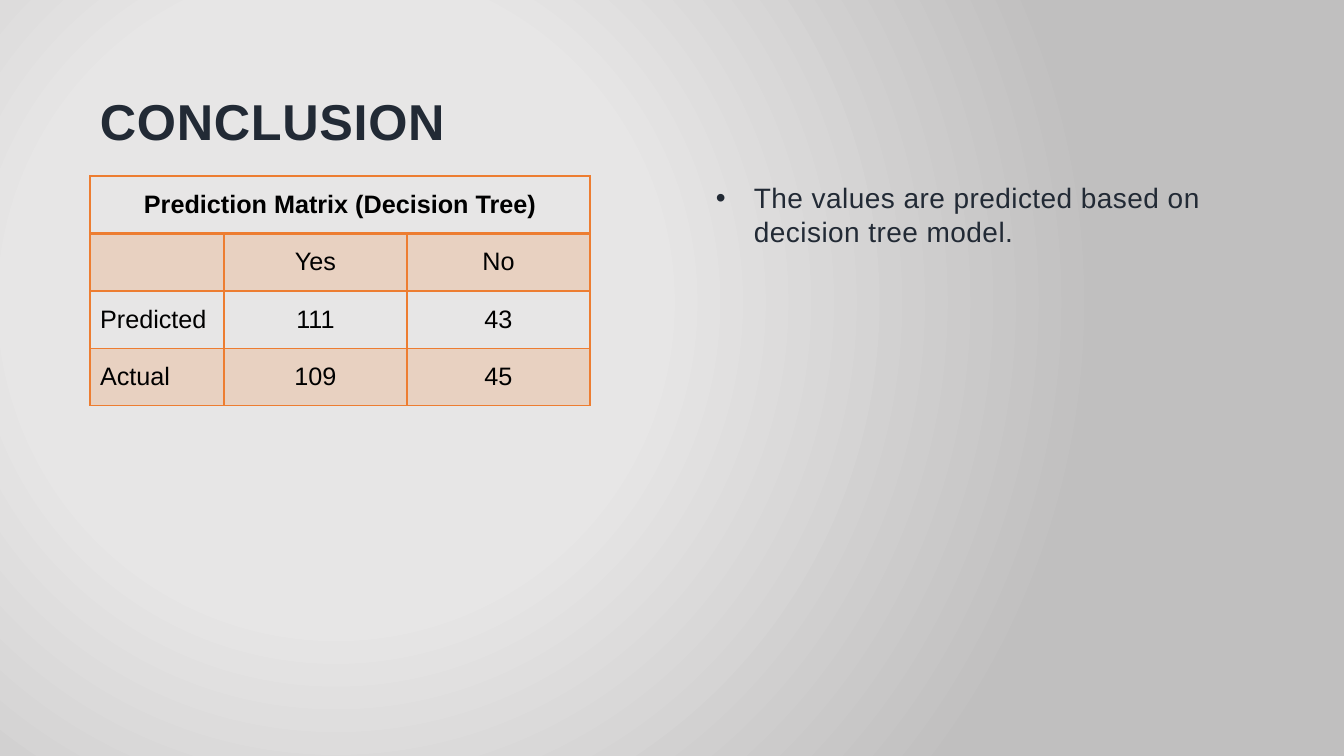
"""Conclusion slide with a decision tree prediction matrix and one remark."""
from pptx import Presentation, oxml, util as u
from pptx.dml.color import RGBColor
from pptx.enum import text
from pptx.oxml import ns

PX = 12192000 / 1344
COLORS = {"ink": "222A35", "black": "000000", "orange": "ED7D31",
          "glow": "E8E7E7", "mist": "E7E6E6", "edge": "C0BFBF"}
NS = ns.nsdecls("a", "p")


def px(*lengths):
    return [u.Emu(round(length * PX)) for length in lengths]


def add_run(paragraph, words, size, color, bold=False, spacing=0):
    run = paragraph.add_run()
    run.text = words
    run.font.name = "Arial"
    run.font.size = u.Pt(size)
    run.font.bold = bold
    run.font.color.rgb = RGBColor.from_string(COLORS[color])
    if spacing:
        run.font._element.set("spc", str(spacing))


deck = Presentation()
deck.slide_width, deck.slide_height = px(1344, 756)
slide = deck.slides.add_slide(deck.slide_layouts[6])

stops = "".join(
    f'<a:gs pos="{place * 1000}"><a:srgbClr val="{COLORS[name]}"/></a:gs>'
    for place, name in [(0, "glow"), (41, "mist"), (100, "edge")])
slide._element.cSld.insert(0, oxml.parse_xml(
    f'<p:bg {NS}><p:bgPr><a:gradFill rotWithShape="1"><a:gsLst>{stops}</a:gsLst>'
    '<a:path path="circle"><a:fillToRect l="50000" t="80000" r="100000" b="100000"/>'
    '</a:path></a:gradFill><a:effectLst/></p:bgPr></p:bg>'))

title = slide.shapes.add_textbox(*px(90, 30, 1165, 126)).text_frame
title.word_wrap = True
title.vertical_anchor = text.MSO_ANCHOR.BOTTOM
add_run(title.paragraphs[0], "CONCLUSION", 36, "ink", bold=True, spacing=50)

rows = [["Prediction Matrix (Decision Tree)", "", ""],
        ["", "Yes", "No"],
        ["Predicted", "111", "43"],
        ["Actual", "109", "45"]]
matrix = slide.shapes.add_table(4, 3, *px(90, 176, 500, 230)).table
matrix.first_row = matrix.horz_banding = False
for column, width in zip(matrix.columns, px(134, 183, 183)):
    column.width = width
matrix.cell(0, 0).merge(matrix.cell(0, 2))

for r, row in enumerate(rows):
    for c, words in enumerate(row):
        cell = matrix.cell(r, c)
        cell.vertical_anchor = text.MSO_ANCHOR.MIDDLE
        paragraph = cell.text_frame.paragraphs[0]
        if r == 0 or c > 0:
            paragraph.alignment = text.PP_ALIGN.CENTER
        if words:
            add_run(paragraph, words, 18, "black", bold=r == 0)
        props = cell._tc.get_or_add_tcPr()
        for side in "LRTB":
            points = 2 if (r, side) in [(0, "B"), (1, "T")] else 1
            props.append(oxml.parse_xml(
                f'<a:ln{side} {NS} w="{u.Pt(points)}"><a:solidFill>'
                f'<a:srgbClr val="{COLORS["orange"]}"/></a:solidFill></a:ln{side}>'))
        if r % 2:
            cell.fill.solid()
            cell.fill.fore_color.rgb = RGBColor.from_string(COLORS["orange"])
            tint = props.find(ns.qn("a:solidFill")).find(ns.qn("a:srgbClr"))
            tint.append(oxml.parse_xml(f'<a:alpha {NS} val="20000"/>'))
        else:
            cell.fill.background()

remark = slide.shapes.add_textbox(*px(706, 176, 548, 285)).text_frame
remark.word_wrap = True
point = remark.paragraphs[0]
point.space_before, point.space_after = u.Pt(4), u.Pt(6)
add_run(point, "The values are predicted based on decision tree model.", 20, "ink", spacing=30)
layout = point._p.get_or_add_pPr()
indent, = px(38)
layout.set("marL", str(indent))
layout.set("indent", str(-indent))
for bullet in (f'<a:buClr {NS}><a:srgbClr val="{COLORS["ink"]}"/></a:buClr>',
               f'<a:buFont {NS} typeface="Arial"/>',
               f'<a:buChar {NS} char="•"/>'):
    layout.append(oxml.parse_xml(bullet))

deck.save("out.pptx")
